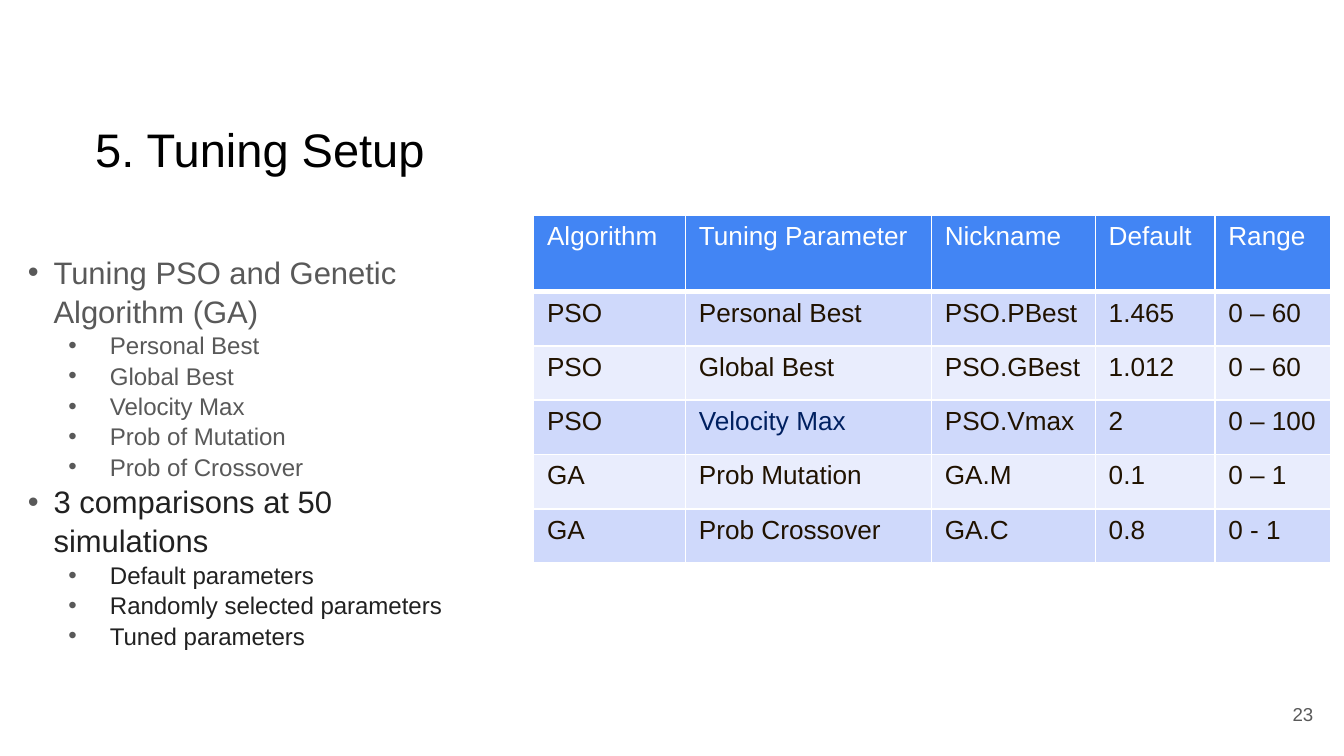
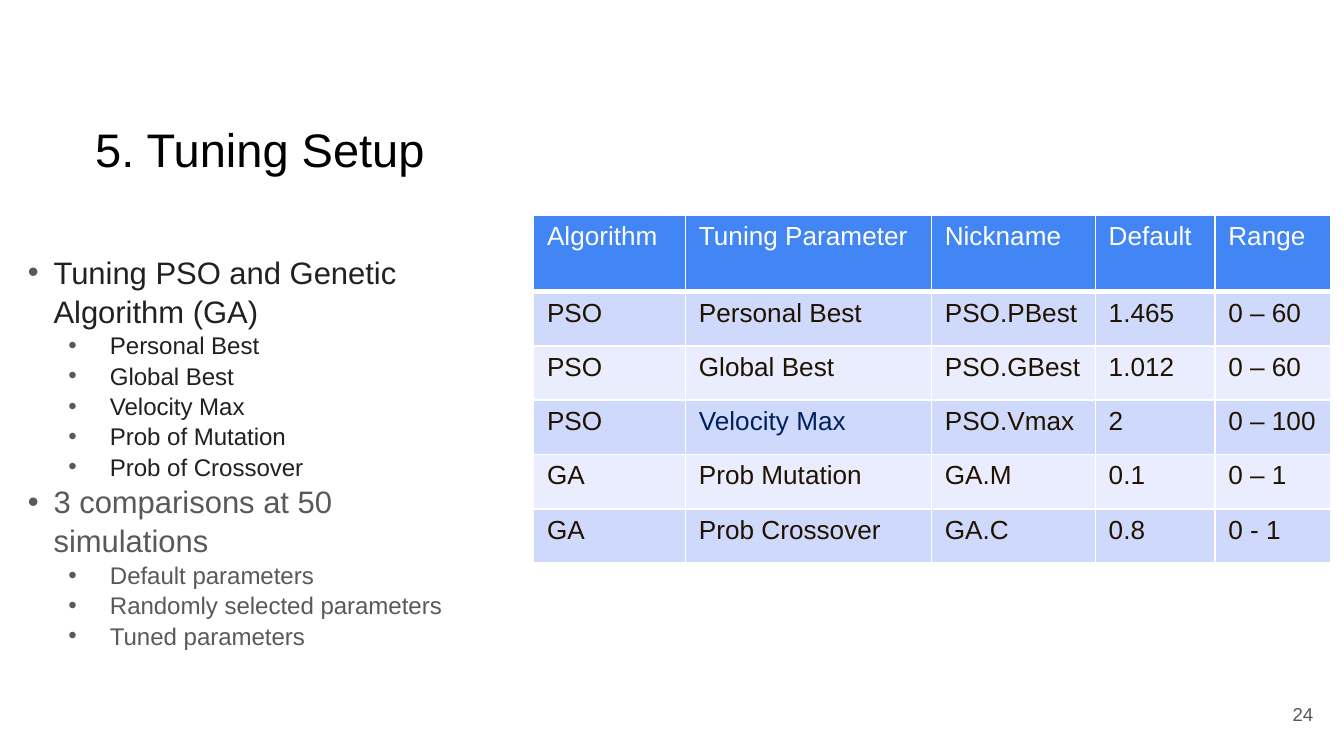
from pptx import Presentation
from pptx.dml.color import RGBColor
from pptx.enum.text import MSO_ANCHOR, PP_ALIGN
from pptx.oxml.ns import qn
from pptx.util import Inches, Pt
from lxml.etree import SubElement

FONT = "Arial"
WHITE = RGBColor(0xFF, 0xFF, 0xFF)
BLACK = RGBColor(0, 0, 0)
GREY = RGBColor(0x59, 0x59, 0x59)
DARK = RGBColor(0x21, 0x21, 0x21)
INK = RGBColor(0x20, 0x12, 0x00)
NAVY = RGBColor(0x00, 0x20, 0x60)
BLUE = RGBColor(0x42, 0x85, 0xF4)
BANDS = [RGBColor(0xE9, 0xED, 0xFD), RGBColor(0xCF, 0xD9, 0xFB)]

TITLE_BOX = (0.61, 0.8, 7.99, 0.55)
LIST_BOX = (0.11, 1.77, 3.62, 3.37)
TABLE_BOX = (3.97, 1.6, 5.93, 2.59)
PAGE_BOX = (9.27, 5.1, 0.6, 0.43)

COLS = [1.13, 1.83, 1.22, 0.89, 0.86]
HEAD_ROW = 0.57
ROWS = [
    ["Algorithm", "Tuning Parameter", "Nickname", "Default", "Range"],
    ["PSO", "Personal Best", "PSO.PBest", "1.465", "0 – 60"],
    ["PSO", "Global Best", "PSO.GBest", "1.012", "0 – 60"],
    ["PSO", "Velocity Max", "PSO.Vmax", "2", "0 – 100"],
    ["GA", "Prob Mutation", "GA.M", "0.1", "0 – 1"],
    ["GA", "Prob Crossover", "GA.C", "0.8", "0 - 1"],
]
TOPICS = [
    ("Tuning PSO and Genetic Algorithm (GA)",
     ["Personal Best", "Global Best", "Velocity Max",
      "Prob of Mutation", "Prob of Crossover"]),
    ("3 comparisons at 50 simulations",
     ["Default parameters", "Randomly selected parameters",
      "Tuned parameters"]),
]
# Each level: text size, left margin, hanging indent
LEVELS = [(16.6, 0.19, 0.19), (12.9, 0.61, 0.31)]


def style(para, size, color):
    for run in para.runs:
        run.font.name = FONT
        run.font.size = Pt(size)
        run.font.color.rgb = color


def add_frame(slide, box):
    frame = slide.shapes.add_textbox(*map(Inches, box)).text_frame
    frame.word_wrap = True
    frame.margin_left = frame.margin_right = Inches(0.1)
    frame.margin_top = frame.margin_bottom = Inches(0.1)
    return frame


def add_title(slide, box, text):
    frame = add_frame(slide, box)
    frame.text = text
    style(frame.paragraphs[0], 25.2, BLACK)


def add_page(slide, box, num):
    """Write the slide number at the right of its box."""
    frame = add_frame(slide, box)
    frame.vertical_anchor = MSO_ANCHOR.MIDDLE
    frame.text = str(num)
    para = frame.paragraphs[0]
    para.alignment = PP_ALIGN.RIGHT
    style(para, 10, GREY)


def set_bullet(para, left, hang):
    props = para._p.get_or_add_pPr()
    props.set("marL", str(Inches(left)))
    props.set("indent", str(-Inches(hang)))
    tint = SubElement(props, qn("a:buClr"))
    SubElement(tint, qn("a:srgbClr"), val=str(GREY))
    SubElement(props, qn("a:buFont"), typeface=FONT)
    SubElement(props, qn("a:buChar"), char="•")


def add_list(slide, box, focus):
    """List the topics, with the one at index focus in the dark colour."""
    items = [(text, level, DARK if n == focus else GREY)
             for n, (head, subs) in enumerate(TOPICS)
             for level, texts in enumerate([[head], subs])
             for text in texts]
    frame = add_frame(slide, box)
    frame.text = "\n".join(text for text, _, _ in items)
    for para, (_, level, color) in zip(frame.paragraphs, items):
        size, left, hang = LEVELS[level]
        para.level = level
        set_bullet(para, left, hang)
        para.line_spacing = 1.05
        style(para, size, color)


def set_edges(cell, base):
    """Draw white cell borders; base is the width of the bottom one."""
    props = cell._tc.get_or_add_tcPr()
    for side, width in zip("LRTB", (1, 1, 1, base)):
        line = SubElement(props, qn("a:ln" + side), w=str(Pt(width)))
        fill = SubElement(line, qn("a:solidFill"))
        SubElement(fill, qn("a:srgbClr"), val=str(WHITE))


def add_grid(slide, box):
    frame = slide.shapes.add_table(len(ROWS), len(COLS), *map(Inches, box))
    table = frame.table
    for col, width in zip(table.columns, COLS):
        col.width = Inches(width)
    rest = (box[3] - HEAD_ROW) / (len(ROWS) - 1)
    for r, texts in enumerate(ROWS):
        head = r == 0
        table.rows[r].height = Inches(HEAD_ROW if head else rest)
        for c, text in enumerate(texts):
            cell = table.cell(r, c)
            cell.text = text
            set_edges(cell, 3 if head else 1)
            cell.fill.solid()
            cell.fill.fore_color.rgb = BLUE if head else BANDS[r % 2]
            ink = NAVY if text == "Velocity Max" else INK
            style(cell.text_frame.paragraphs[0], 14, WHITE if head else ink)


def add_setup(deck, num, focus):
    slide = deck.slides.add_slide(deck.slide_layouts[6])
    add_page(slide, PAGE_BOX, num)
    add_title(slide, TITLE_BOX, "5. Tuning Setup")
    add_grid(slide, TABLE_BOX)
    add_list(slide, LIST_BOX, focus)


def main():
    deck = Presentation()
    deck.slide_width = Inches(10)
    deck.slide_height = deck.slide_width * 9 // 16
    for num, focus in [(23, 1), (24, 0)]:
        add_setup(deck, num, focus)
    deck.save("out.pptx")


if __name__ == "__main__":
    main()
